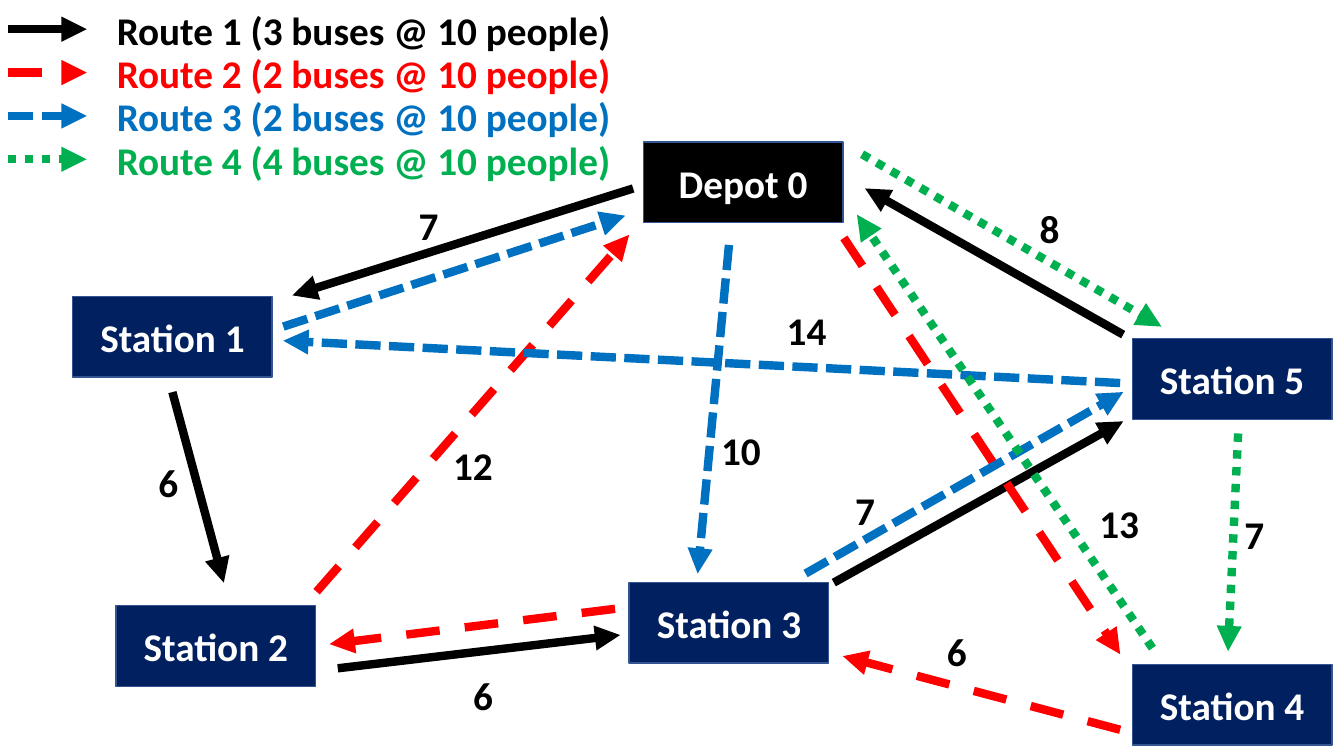
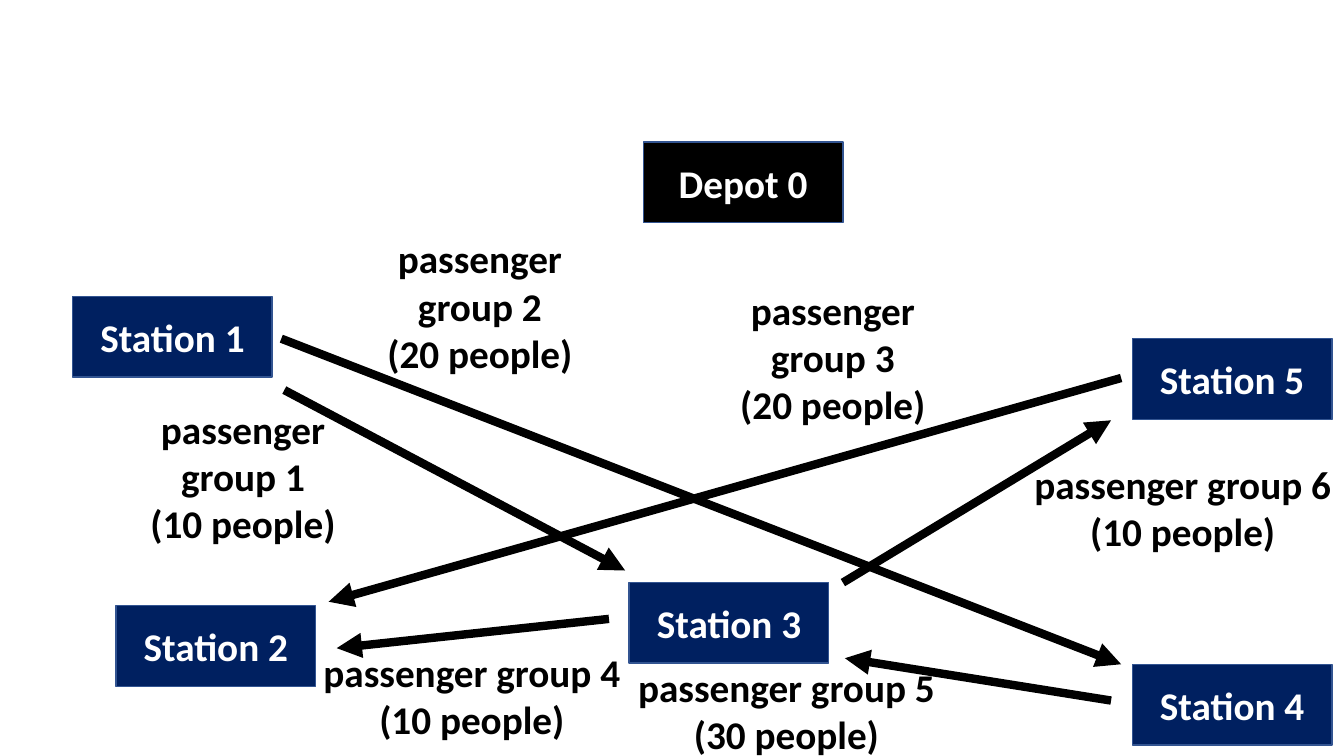
from dataclasses import dataclass

from lxml.etree import SubElement
from pptx import Presentation
from pptx.dml.color import RGBColor
from pptx.enum.dml import MSO_LINE
from pptx.enum.shapes import MSO_CONNECTOR, MSO_SHAPE
from pptx.enum.text import MSO_ANCHOR, PP_ALIGN
from pptx.oxml.ns import qn
from pptx.util import Inches, Pt


@dataclass(frozen=True)
class Theme:
    """Colours, font and sizes that both slides share."""
    black: str = "000000"
    white: str = "FFFFFF"
    navy: str = "002060"
    edge: str = "325491"
    red: str = "FF0000"
    blue: str = "0070C0"
    green: str = "00B050"
    font: str = "Calibri"
    size: int = 28
    thick: int = 6
    thin: int = 1


T = Theme()

STOP_SIZE = (1.98, 0.8)
STOPS = [
    ("Depot 0", 6.38, 1.41, T.black),
    ("Station 1", 0.72, 2.94, T.navy),
    ("Station 2", 1.15, 6.01, T.navy),
    ("Station 3", 6.24, 5.78, T.navy),
    ("Station 4", 11.23, 6.59, T.navy),
    ("Station 5", 11.23, 3.36, T.navy),
]

ROUTES = [
    ("Route 1 (3 buses @ 10 people)", T.black, None, [
        (6.28, 1.87, 2.9, 2.93),
        (1.71, 3.89, 2.22, 5.78),
        (3.35, 6.63, 6.15, 6.3),
        (8.27, 5.78, 11.14, 4.18),
        (11.14, 3.32, 8.58, 1.87),
    ]),
    ("Route 2 (2 buses @ 10 people)", T.red, MSO_LINE.DASH, [
        (8.37, 2.36, 11.11, 6.49),
        (11.11, 7.24, 8.36, 6.51),
        (6.1, 6.04, 3.27, 6.39),
        (3.14, 5.87, 6.24, 2.33),
    ]),
    ("Route 3 (2 buses @ 10 people)", T.blue, MSO_LINE.SQUARE_DOT, [
        (7.23, 2.43, 6.92, 5.69),
        (7.99, 5.69, 11.14, 3.89),
        (11.11, 3.8, 2.81, 3.38),
        (2.81, 3.24, 6.2, 2.14),
    ]),
    ("Route 4 (4 buses @ 10 people)", T.green, MSO_LINE.ROUND_DOT, [
        (8.55, 1.53, 11.52, 3.24),
        (12.28, 4.3, 12.18, 6.46),
        (11.43, 6.43, 8.5, 2.13),
    ]),
]

TIMES = [
    ("8", 10.21, 1.98), ("6", 1.47, 4.5), ("7", 4.05, 1.95),
    ("12", 4.39, 4.33), ("6", 9.29, 6.17), ("14", 7.7, 2.99),
    ("13", 10.8, 4.9), ("7", 12.24, 5.01), ("6", 4.59, 6.61),
    ("7", 8.38, 4.78), ("10", 7.05, 4.18),
]

NARROW, WIDE = (2.5, 1.51), (3.2, 0.97)
GROUPS = [
    (1, 10, (1.16, 3.97), NARROW, (2.82, 3.87, 6.2, 5.66)),
    (2, 20, (3.51, 2.28), NARROW, (2.79, 3.36, 11.12, 6.59)),
    (3, 20, (7.01, 2.79), NARROW, (11.12, 3.75, 3.26, 5.97)),
    (4, 10, (3.08, 6.38), WIDE, (6.04, 6.14, 3.34, 6.43)),
    (5, 30, (6.2, 6.53), WIDE, (11.02, 6.95, 8.38, 6.53)),
    (6, 10, (10.13, 4.52), WIDE, (8.36, 5.78, 11.02, 4.17)),
]

KEY_LEFT, KEY_TOP, KEY_STEP, KEY_LEN = 0.08, 0.29, 0.43, 0.78
TEXT_LEFT, TEXT_TOP, TEXT_WIDTH, ROW = 1.06, 0.01, 5.15, 0.57


def rgb(code):
    """Turn a hex code into a colour."""
    return RGBColor.from_string(code)


def write(frame, lines, color, align):
    """Fill a text frame with bold lines."""
    frame.text = "\n".join(lines)
    for para in frame.paragraphs:
        para.alignment = align
        font = para.font
        font.name, font.size, font.bold = T.font, Pt(T.size), True
        font.color.rgb = rgb(color)


def label(slide, lines, place, color=T.black, align=PP_ALIGN.CENTER, wrap=False):
    """Add a text box at (left, top, width, height)."""
    box = slide.shapes.add_textbox(*map(Inches, place))
    box.text_frame.word_wrap = wrap
    write(box.text_frame, lines, color, align)


def arrow(slide, ends, color=T.black, dash=None):
    """Add a thick arrow from the first point to the second."""
    link = slide.shapes.add_connector(MSO_CONNECTOR.STRAIGHT, *map(Inches, ends))
    link.line.width = Pt(T.thick)
    link.line.color.rgb = rgb(color)
    if dash:
        link.line.dash_style = dash
    SubElement(link.line._get_or_add_ln(), qn("a:tailEnd"), type="triangle")
    SubElement(link._element.spPr, qn("a:effectLst"))


def start(deck):
    """Add a blank slide with the depot and the stations."""
    slide = deck.slides.add_slide(deck.slide_layouts[6])
    for name, left, top, fill in STOPS:
        stop = slide.shapes.add_shape(
            MSO_SHAPE.RECTANGLE, *map(Inches, (left, top, *STOP_SIZE)))
        stop.shadow.inherit = False
        stop.fill.solid()
        stop.fill.fore_color.rgb = rgb(fill)
        stop.line.color.rgb = rgb(T.edge)
        stop.line.width = Pt(T.thin)
        stop.text_frame.vertical_anchor = MSO_ANCHOR.MIDDLE
        write(stop.text_frame, [name], T.white, PP_ALIGN.CENTER)
    return slide


def routes(deck):
    """Draw the bus routes, their key and the travel times."""
    slide = start(deck)
    for row, (name, color, dash, legs) in enumerate(ROUTES):
        drop = row * KEY_STEP
        level = KEY_TOP + drop
        key = (KEY_LEFT, level, KEY_LEFT + KEY_LEN, level)
        for ends in [key, *legs]:
            arrow(slide, ends, color, dash)
        label(slide, [name], (TEXT_LEFT, TEXT_TOP + drop, TEXT_WIDTH, ROW),
              color, PP_ALIGN.LEFT)
    for time, left, top in TIMES:
        label(slide, [time], (left, top, 0.2 + 0.2 * len(time), ROW))


def groups(deck):
    """Draw the trips of the passenger groups."""
    slide = start(deck)
    for number, people, spot, size, ends in GROUPS:
        arrow(slide, ends)
        lines = [f"passenger group {number}", f"({people} people)"]
        label(slide, lines, (*spot, *size), wrap=True)


def main():
    """Build and save the deck."""
    deck = Presentation()
    deck.slide_width, deck.slide_height = Inches(13.33), Inches(7.5)
    routes(deck)
    groups(deck)
    deck.save("out.pptx")


if __name__ == "__main__":
    main()
